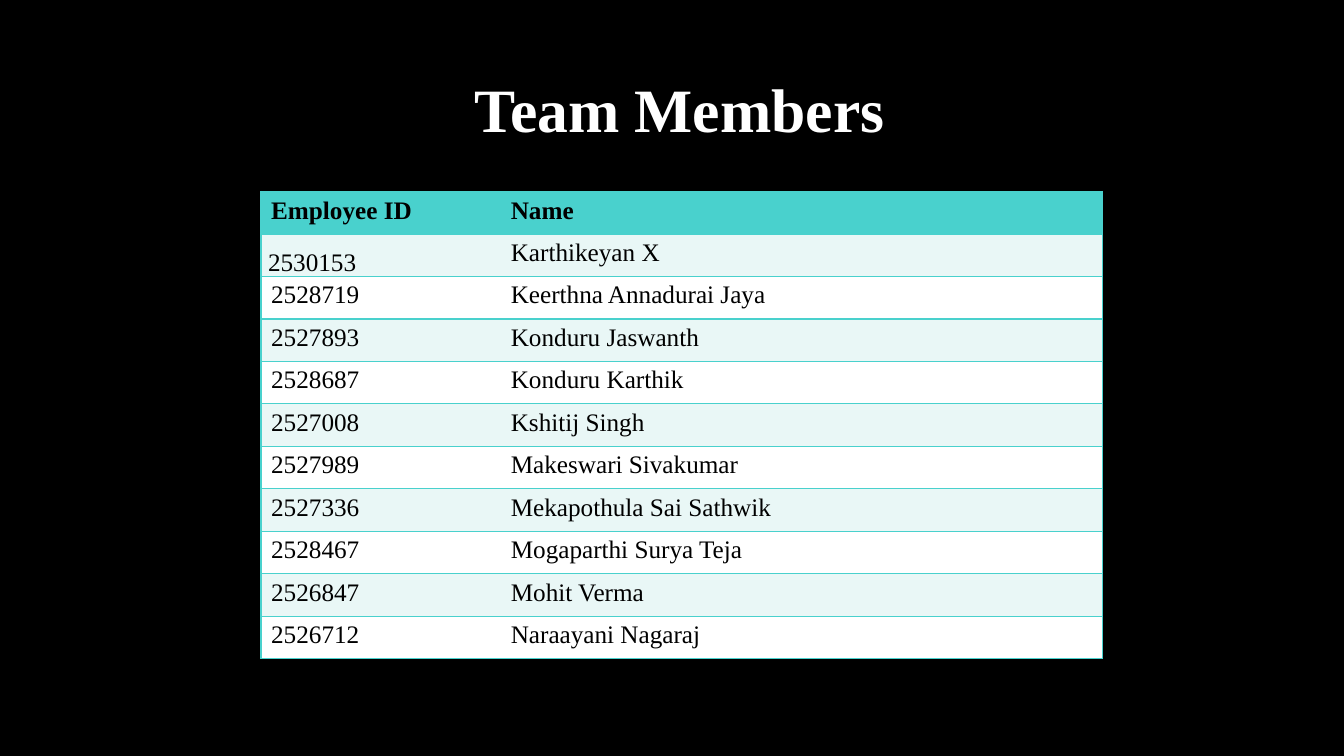
"""Build the Team Members slide with its table of employee IDs and names."""
from lxml.etree import SubElement
from pptx import Presentation
from pptx.dml.color import RGBColor
from pptx.enum.text import MSO_ANCHOR as Anchor, MSO_AUTO_SIZE as AutoSize
from pptx.oxml.ns import qn
from pptx.util import Pt

COLORS = {
    "black": "000000",
    "white": "FFFFFF",
    "teal": "49D1CD",
    "mint": "E9F7F6",
}
MEMBERS = [
    ("Employee ID", "Name"),
    ("2530153", "Karthikeyan X"),
    ("2528719", "Keerthna Annadurai Jaya"),
    ("2527893", "Konduru Jaswanth"),
    ("2528687", "Konduru Karthik"),
    ("2527008", "Kshitij Singh"),
    ("2527989", "Makeswari Sivakumar"),
    ("2527336", "Mekapothula Sai Sathwik"),
    ("2528467", "Mogaparthi Surya Teja"),
    ("2526847", "Mohit Verma"),
    ("2526712", "Naraayani Nagaraj"),
]
COLUMN_WIDTHS = (Pt(171.2), Pt(430))
ROW_HEIGHT = Pt(30.35)


def format_text(text_frame, size, color, bold):
    font = text_frame.paragraphs[0].runs[0].font
    font.name = "Times New Roman"
    font.size = Pt(size)
    font.bold = bold
    font.color.rgb = RGBColor.from_string(COLORS[color])


def add_borders(cell, outer_side):
    properties = cell._tc.get_or_add_tcPr()
    for side in "LRTB":
        line = SubElement(properties, qn(f"a:ln{side}"), w=str(Pt(1)))
        if side in (outer_side, "T", "B"):
            fill = SubElement(line, qn("a:solidFill"))
            SubElement(fill, qn("a:srgbClr"), val=COLORS["teal"])
        else:
            SubElement(line, qn("a:noFill"))


presentation = Presentation()
presentation.slide_width = Pt(960)
presentation.slide_height = Pt(540)
slide = presentation.slides.add_slide(presentation.slide_layouts[6])
background = slide.background.fill
background.solid()
background.fore_color.rgb = RGBColor.from_string(COLORS["black"])

title = slide.shapes.add_textbox(Pt(331.9), Pt(46.8), Pt(310.3), Pt(60.5))
title.text_frame.text = "Team Members"
title.text_frame.word_wrap = False
title.text_frame.auto_size = AutoSize.SHAPE_TO_FIT_TEXT
format_text(title.text_frame, 44, "white", True)

table = slide.shapes.add_table(
    len(MEMBERS), len(COLUMN_WIDTHS), Pt(186.5), Pt(136.8),
    sum(COLUMN_WIDTHS), ROW_HEIGHT * len(MEMBERS),
).table
for column, width in zip(table.columns, COLUMN_WIDTHS):
    column.width = width

for row_index, member in enumerate(MEMBERS):
    table.rows[row_index].height = ROW_HEIGHT
    is_header = row_index == 0
    row_color = "teal" if is_header else ("white", "mint")[row_index % 2]
    for column_index, value in enumerate(member):
        cell = table.cell(row_index, column_index)
        cell.text_frame.text = value
        format_text(cell.text_frame, 18, "black", is_header)
        add_borders(cell, "LR"[column_index])
        cell.fill.solid()
        cell.fill.fore_color.rgb = RGBColor.from_string(COLORS[row_color])

first_id = table.cell(1, 0)
first_id.vertical_anchor = Anchor.BOTTOM
first_id.margin_left = first_id.margin_right = Pt(5)
first_id.margin_top = first_id.margin_bottom = Pt(0)

presentation.save("out.pptx")
